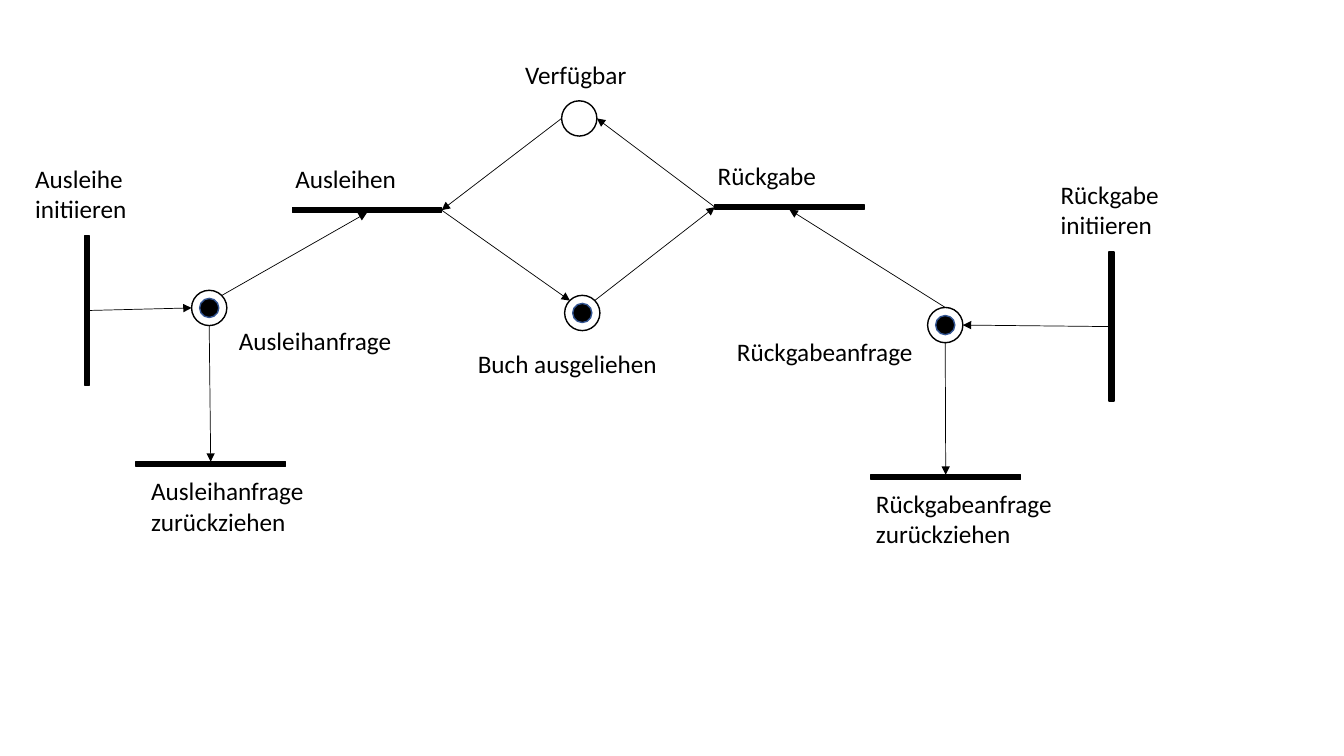
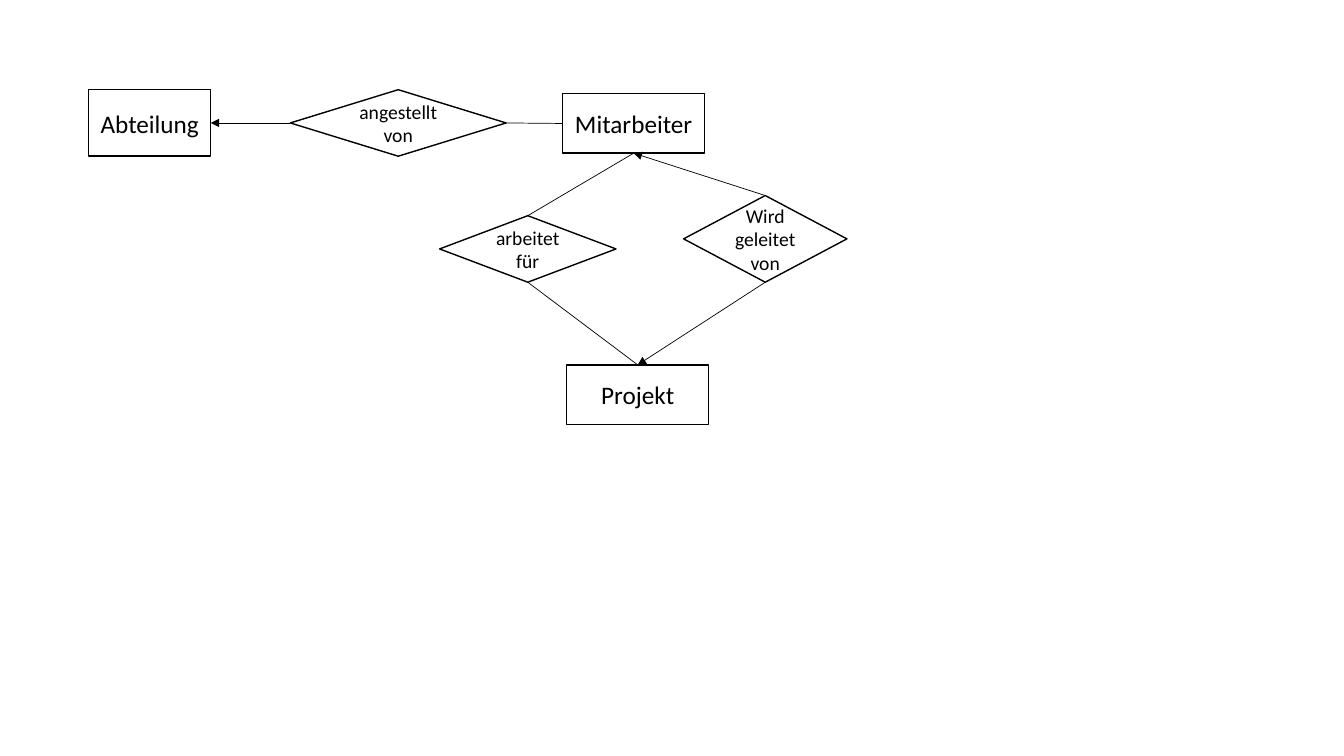
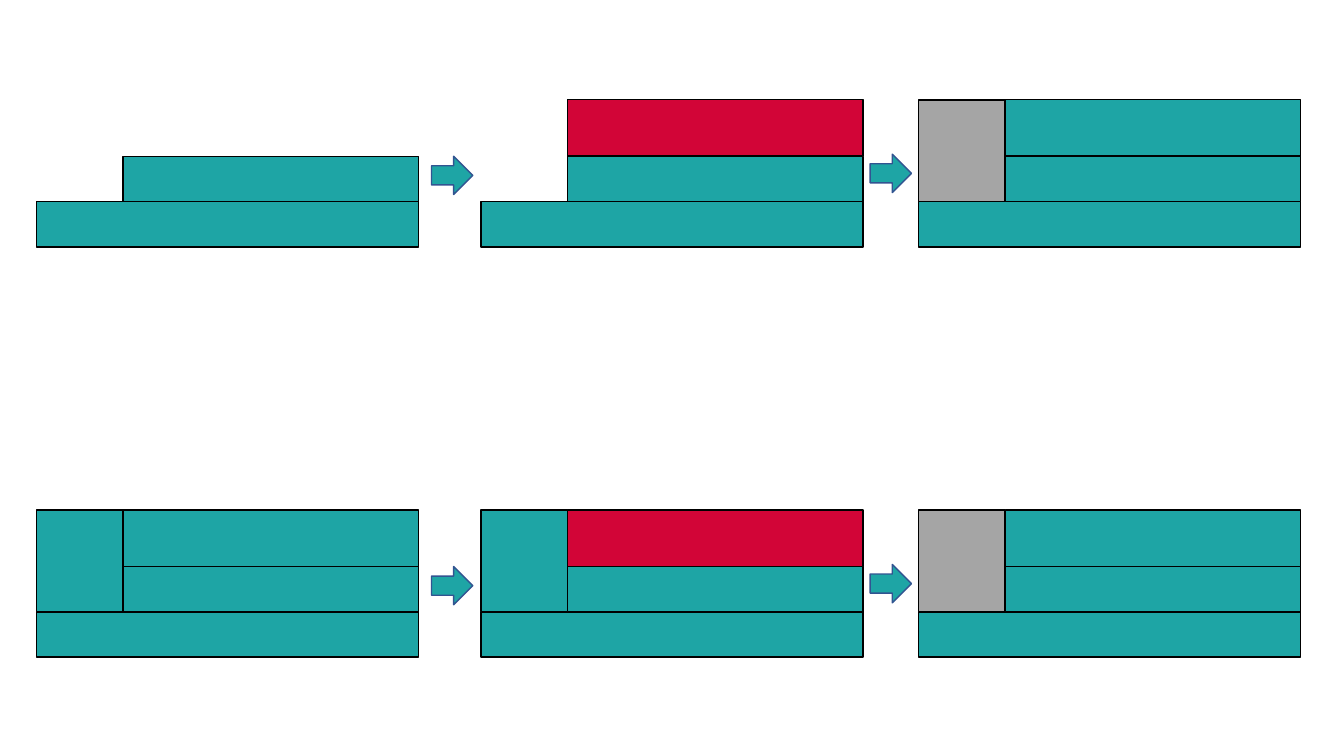
from dataclasses import dataclass
from typing import Optional

from pptx import Presentation
from pptx.dml.color import RGBColor
from pptx.enum.shapes import MSO_CONNECTOR, MSO_SHAPE
from pptx.enum.text import MSO_ANCHOR, PP_ALIGN
from pptx.oxml import parse_xml
from pptx.oxml.ns import nsdecls
from pptx.util import Emu, Pt

PX = 9144
FONT = "Calibri"
COLORS = {
    "black": "000000",
    "white": "FFFFFF",
    "navy": "325491",
    "teal": "1EA5A5",
    "red": "D20537",
    "gray": "A5A5A5",
}
RECT = MSO_SHAPE.RECTANGLE
OVAL = MSO_SHAPE.OVAL
DIAMOND = MSO_SHAPE.DIAMOND
RIGHT_ARROW = MSO_SHAPE.RIGHT_ARROW
STRAIGHT = MSO_CONNECTOR.STRAIGHT
CENTER = PP_ALIGN.CENTER
MIDDLE = MSO_ANCHOR.MIDDLE

BAR_LENGTH, BAR_WIDTH = 148, 5
PLACE_SIZE, TOKEN_SIZE = 35, 19
DIAG = 0.15
SITES = {
    "top": (0.5, 0),
    "left": (0, 0.5),
    "bottom": (0.5, 1),
    "right": (1, 0.5),
    "top_left": (DIAG, DIAG),
    "top_right": (1 - DIAG, DIAG),
}


@dataclass
class Place:
    name: str
    x: int
    y: int
    token: bool = True


@dataclass
class Transition:
    name: str
    x: int
    y: int
    upright: bool = False


@dataclass
class Label:
    text: str
    x: int
    y: int
    w: int = 181
    h: int = 40


@dataclass
class Node:
    text: str
    kind: MSO_SHAPE
    x: int
    y: int
    w: int
    h: int
    size: int


@dataclass
class Link:
    start: str
    start_site: str
    end: str
    end_site: str
    arrow: bool = True


@dataclass
class Stack:
    x: int
    y: int
    upper: Optional[str] = None
    side: Optional[str] = None


PLACES = [
    Place("Ausleihanfrage", 190, 288),
    Place("Verfügbar", 557, 100, token=False),
    Place("Buch ausgeliehen", 560, 293),
    Place("Rückgabeanfrage", 920, 305),
]
TRANSITIONS = [
    Transition("Ausleihe initiieren", 84, 234, upright=True),
    Transition("Ausleihanfrage zurückziehen", 135, 458),
    Transition("Ausleihen", 290, 206),
    Transition("Rückgabe", 709, 203),
    Transition("Rückgabe initiieren", 1100, 250, upright=True),
    Transition("Rückgabeanfrage zurückziehen", 864, 471),
]
LABELS = [
    Label("Ausleihe initiieren", 25, 157, 168, 71),
    Label("Ausleihanfrage", 227, 318),
    Label("Ausleihanfrage zurückziehen", 140, 467, 185, 71),
    Label("Ausleihen", 283, 157),
    Label("Verfügbar", 511, 54),
    Label("Buch ausgeliehen", 464, 341, 221),
    Label("Rückgabe", 702, 154),
    Label("Rückgabeanfrage", 721, 329, 199),
    Label("Rückgabe initiieren", 1042, 173, 168, 71),
    Label("Rückgabeanfrage zurückziehen", 859, 479, 207, 71),
]
NET_LINKS = [
    Link("Ausleihe initiieren", "right", "Ausleihanfrage", "left"),
    Link("Ausleihanfrage", "bottom", "Ausleihanfrage zurückziehen", "top"),
    Link("Ausleihanfrage", "top_right", "Ausleihen", "bottom"),
    Link("Ausleihen", "right", "Buch ausgeliehen", "top_left"),
    Link("Buch ausgeliehen", "top_right", "Rückgabe", "left"),
    Link("Rückgabe", "left", "Verfügbar", "right"),
    Link("Verfügbar", "left", "Ausleihen", "right"),
    Link("Rückgabeanfrage", "top", "Rückgabe", "bottom"),
    Link("Rückgabeanfrage", "bottom", "Rückgabeanfrage zurückziehen", "top"),
    Link("Rückgabe initiieren", "left", "Rückgabeanfrage", "right"),
]
NODES = [
    Node("Abteilung", RECT, 88, 89, 121, 66, 18),
    Node("Mitarbeiter", RECT, 558, 93, 141, 59, 18),
    Node("angestellt von", DIAMOND, 288, 89, 214, 66, 14),
    Node("Projekt", RECT, 562, 362, 141, 59, 18),
    Node("arbeitet für", DIAMOND, 436, 214, 175, 66, 14),
    Node("Wird geleitet von", DIAMOND, 678, 194, 162, 86, 14),
]
ENTITY_LINKS = [
    Link("angestellt von", "left", "Abteilung", "right"),
    Link("angestellt von", "right", "Mitarbeiter", "left", arrow=False),
    Link("Mitarbeiter", "bottom", "arbeitet für", "top", arrow=False),
    Link("arbeitet für", "bottom", "Projekt", "top", arrow=False),
    Link("Wird geleitet von", "bottom", "Projekt", "top"),
    Link("Wird geleitet von", "top", "Mitarbeiter", "bottom"),
]

BASE_W, LAYER_H, UPPER_H, SIDE_W = 379, 45, 56, 86
COLUMNS = (36, 477, 911)
ROWS = (200, 607)
STACKS = [
    Stack(COLUMNS[0], ROWS[0]),
    Stack(COLUMNS[1], ROWS[0], "red"),
    Stack(COLUMNS[2], ROWS[0], "teal", "gray"),
    Stack(COLUMNS[0], ROWS[1], "teal", "teal"),
    Stack(COLUMNS[1], ROWS[1], "red", "teal"),
    Stack(COLUMNS[2], ROWS[1], "teal", "gray"),
]
STEP_ARROWS = ((428, -45), (863, -47))


def px(n: int) -> Emu:
    return Emu(n * PX)


def rgb(name: str) -> RGBColor:
    return RGBColor.from_string(COLORS[name])


def add_box(s, kind: MSO_SHAPE, x: int, y: int, w: int, h: int,
            fill: str, line: str = "black"):
    sp = s.shapes.add_shape(kind, px(x), px(y), px(w), px(h))
    sp.shadow.inherit = False
    sp.fill.solid()
    sp.fill.fore_color.rgb = rgb(fill)
    sp.line.color.rgb = rgb(line)
    sp.line.width = Pt(1)
    return sp


def write(sp, text: str, size: int) -> None:
    tf = sp.text_frame
    tf.word_wrap = True
    p = tf.paragraphs[0]
    p.text = text
    p.font.name = FONT
    p.font.size = Pt(size)
    p.font.color.rgb = rgb("black")


def add_label(s, label: Label) -> None:
    sp = s.shapes.add_textbox(px(label.x), px(label.y), px(label.w), px(label.h))
    write(sp, label.text, 18)


def add_place(s, place: Place):
    sp = add_box(s, OVAL, place.x, place.y, PLACE_SIZE, PLACE_SIZE, "white")
    if place.token:
        inset = (PLACE_SIZE - TOKEN_SIZE) // 2
        add_box(s, OVAL, place.x + inset, place.y + inset,
                TOKEN_SIZE, TOKEN_SIZE, "black", "navy")
    return sp


def add_transition(s, bar: Transition):
    w, h = BAR_LENGTH, BAR_WIDTH
    if bar.upright:
        w, h = h, w
    return add_box(s, RECT, bar.x, bar.y, w, h, "black")


def add_node(s, node: Node):
    sp = add_box(s, node.kind, node.x, node.y, node.w, node.h, "white")
    write(sp, node.text, node.size)
    sp.text_frame.vertical_anchor = MIDDLE
    sp.text_frame.paragraphs[0].alignment = CENTER
    return sp


def site_point(sp, site: str) -> tuple[Emu, Emu]:
    fx, fy = SITES[site]
    return Emu(round(sp.left + fx * sp.width)), Emu(round(sp.top + fy * sp.height))


def add_link(s, link: Link, shapes: dict) -> None:
    c = s.shapes.add_connector(STRAIGHT,
                               *site_point(shapes[link.start], link.start_site),
                               *site_point(shapes[link.end], link.end_site))
    c.line.color.rgb = rgb("black")
    c.line.width = Pt(0.5)
    if link.arrow:
        tail = parse_xml(f'<a:tailEnd {nsdecls("a")} type="triangle"/>')
        c.line._get_or_add_ln().append(tail)
    c._element.spPr.append(parse_xml(f'<a:effectLst {nsdecls("a")}/>'))


def add_stack(s, stack: Stack) -> None:
    inner_x, inner_w = stack.x + SIDE_W, BASE_W - SIDE_W
    inner_y = stack.y - LAYER_H
    top = inner_y - UPPER_H
    add_box(s, RECT, stack.x, stack.y, BASE_W, LAYER_H, "teal")
    add_box(s, RECT, inner_x, inner_y, inner_w, LAYER_H, "teal")
    if stack.upper:
        add_box(s, RECT, inner_x, top, inner_w, UPPER_H, stack.upper)
    if stack.side:
        add_box(s, RECT, stack.x, top, SIDE_W, stack.y - top, stack.side)


def build_petri_net(s) -> None:
    shapes = {bar.name: add_transition(s, bar) for bar in TRANSITIONS}
    shapes |= {place.name: add_place(s, place) for place in PLACES}
    for label in LABELS:
        add_label(s, label)
    for link in NET_LINKS:
        add_link(s, link, shapes)


def build_entity_diagram(s) -> None:
    shapes = {node.text: add_node(s, node) for node in NODES}
    for link in ENTITY_LINKS:
        add_link(s, link, shapes)


def build_layer_steps(s) -> None:
    for stack in STACKS:
        add_stack(s, stack)
    for y in ROWS:
        for x, dy in STEP_ARROWS:
            add_box(s, RIGHT_ARROW, x, y + dy, 41, 38, "teal", "navy")


def main() -> None:
    prs = Presentation()
    prs.slide_width, prs.slide_height = px(1333), px(750)
    for build in (build_petri_net, build_entity_diagram, build_layer_steps):
        build(prs.slides.add_slide(prs.slide_layouts[6]))
    prs.save("out.pptx")


if __name__ == "__main__":
    main()
